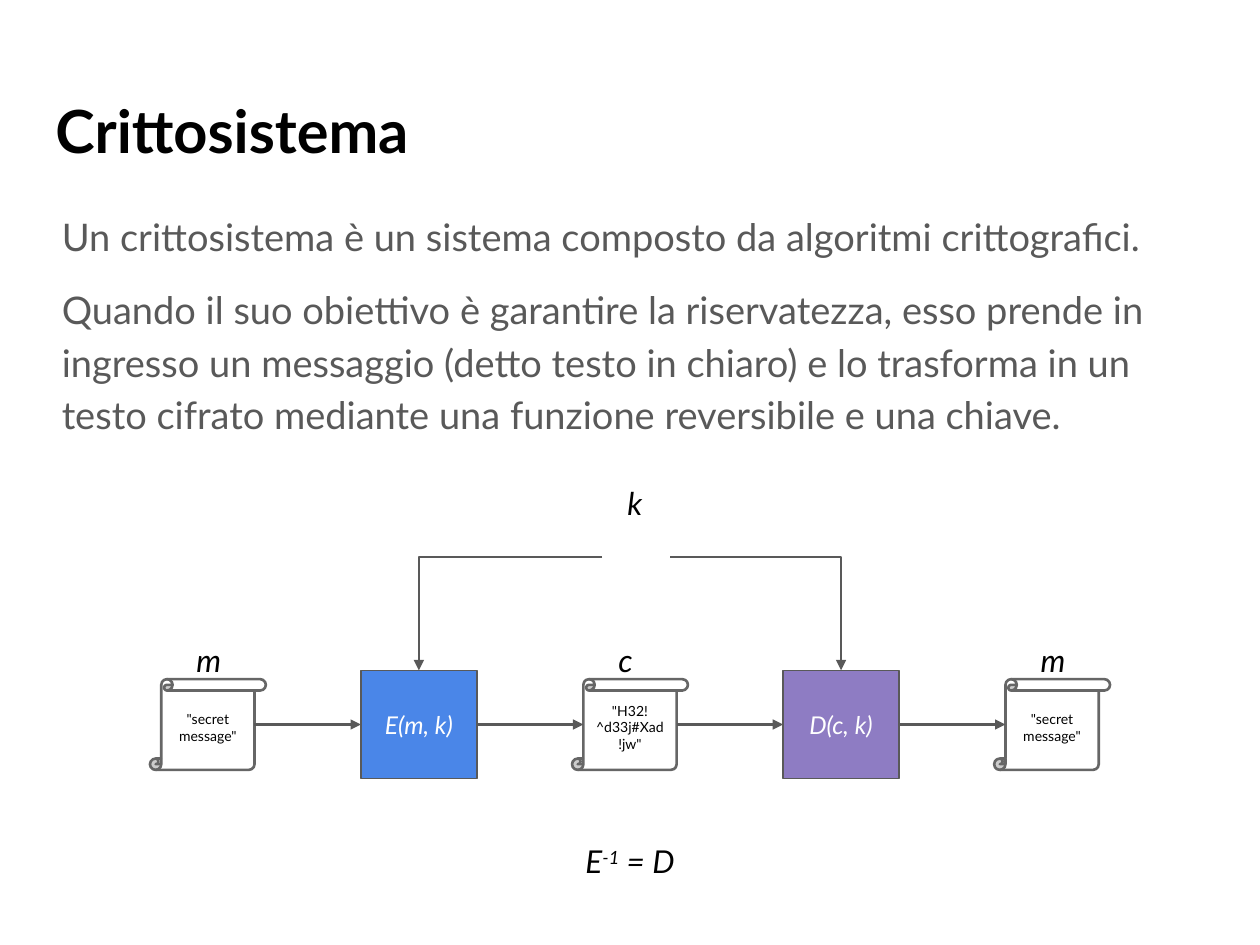
from lxml import etree
from pptx import Presentation
from pptx.dml.color import RGBColor
from pptx.enum.shapes import MSO_CONNECTOR, MSO_SHAPE
from pptx.enum.text import MSO_ANCHOR, MSO_AUTO_SIZE, PP_ALIGN
from pptx.oxml.ns import qn
from pptx.util import Inches, Pt

SCROLL, RECTANGLE = MSO_SHAPE.VERTICAL_SCROLL, MSO_SHAPE.RECTANGLE
STRAIGHT, ELBOW = MSO_CONNECTOR.STRAIGHT, MSO_CONNECTOR.ELBOW
LEFT, CENTER = PP_ALIGN.LEFT, PP_ALIGN.CENTER
TOP, MIDDLE = MSO_ANCHOR.TOP, MSO_ANCHOR.MIDDLE
TOP_SITE, LEFT_SITE, RIGHT_SITE = 0, 1, 3

FONT = "Lato"
COLORS = {
    "ink": "000000",
    "body": "595959",
    "paper": "FFFFFF",
    "scroll_edge": "666666",
    "encrypt": "4A86E8",
    "decrypt": "8E7CC3",
}

# The flow is a row of five stages at an equal pitch, in inches.
FLOW_LEFT, PITCH, STAGE_WIDTH = 1.19, 1.675, 0.92
FLOW_MIDDLE = 5.75
SCROLL_HEIGHT, FUNCTION_HEIGHT = 0.72, 0.86
SCROLL_INSET = SCROLL_HEIGHT / 8
KEY_LINE_Y = 4.42


def color(name):
    return RGBColor.from_string(COLORS[name])


def column(index):
    return FLOW_LEFT + index * PITCH


def set_up_frame(frame, anchor=TOP):
    frame.word_wrap = True
    frame.auto_size = MSO_AUTO_SIZE.NONE
    frame.vertical_anchor = anchor
    frame.margin_left = frame.margin_right = Inches(0.1)
    frame.margin_top = frame.margin_bottom = Inches(0.1)


def add_run(paragraph, text, size, ink="ink", bold=False, italic=False):
    run = paragraph.add_run()
    run.text = text
    font = run.font
    font.name, font.size = FONT, Pt(size)
    font.bold, font.italic = bold, italic
    font.color.rgb = color(ink)
    return run


def place(shape, left, top, width, height):
    shape.left, shape.top = Inches(left), Inches(top)
    shape.width, shape.height = Inches(width), Inches(height)


def fill_title(title, text):
    place(title, 0.34, 0.65, 9.32, 0.83)
    set_up_frame(title.text_frame)
    paragraph = title.text_frame.paragraphs[0]
    paragraph.alignment = LEFT
    add_run(paragraph, text, 34, bold=True)


def fill_body(body, texts):
    place(body, 0.39, 1.54, 9.32, 2.21)
    frame = body.text_frame
    set_up_frame(frame)
    for index, text in enumerate(texts):
        paragraph = frame.paragraphs[0] if index == 0 else frame.add_paragraph()
        properties = paragraph._p.get_or_add_pPr()
        properties.set("marL", "0")
        properties.set("indent", "0")
        etree.SubElement(properties, qn("a:buNone"))
        paragraph.line_spacing = 1.15
        paragraph.space_before = Pt(12 if index else 0)
        paragraph.space_after = Pt(12 if index else 0)
        add_run(paragraph, text, 21.7, "body")


def add_stage(slide, index, kind, height, text, fill, edge, edge_width, size, ink, italic):
    stage = slide.shapes.add_shape(
        kind, Inches(column(index)), Inches(FLOW_MIDDLE - height / 2),
        Inches(STAGE_WIDTH), Inches(height))
    stage.shadow.inherit = False
    stage.fill.solid()
    stage.fill.fore_color.rgb = color(fill)
    stage.line.color.rgb = color(edge)
    stage.line.width = Pt(edge_width)
    set_up_frame(stage.text_frame, MIDDLE)
    paragraph = stage.text_frame.paragraphs[0]
    paragraph.alignment = CENTER
    add_run(paragraph, text, size, ink, italic=italic)
    return stage


def add_message(slide, index, text):
    return add_stage(slide, index, SCROLL, SCROLL_HEIGHT, text,
                     "paper", "scroll_edge", 1.5, 8, "ink", False)


def add_function(slide, index, text, fill):
    return add_stage(slide, index, RECTANGLE, FUNCTION_HEIGHT, text,
                     fill, "body", 0.75, 14, "paper", True)


def add_formula(slide, left, top, width, height, text, alignment=LEFT):
    """Add an italic text box and return its paragraph for further runs."""
    box = slide.shapes.add_textbox(
        Inches(left), Inches(top), Inches(width), Inches(height))
    set_up_frame(box.text_frame)
    paragraph = box.text_frame.paragraphs[0]
    paragraph.alignment = alignment
    paragraph.line_spacing = 1.15
    paragraph.space_after = Pt(12)
    add_run(paragraph, text, 18, italic=True)
    return paragraph


def add_arrow(slide, kind, start, end):
    arrow = slide.shapes.add_connector(kind, *map(Inches, start + end))
    arrow.line.color.rgb = color("body")
    arrow.line.width = Pt(1.5)
    etree.SubElement(arrow.line._get_or_add_ln(), qn("a:tailEnd"), type="triangle")
    etree.SubElement(arrow.element.spPr, qn("a:effectLst"))
    return arrow


def add_message_arrows(slide, index, function):
    """Join a function to the messages on its two sides."""
    left, right = column(index), column(index) + STAGE_WIDTH
    source = column(index - 1) + STAGE_WIDTH - SCROLL_INSET
    target = column(index + 1) + SCROLL_INSET
    incoming = add_arrow(slide, STRAIGHT, (source, FLOW_MIDDLE), (left, FLOW_MIDDLE))
    incoming.end_connect(function, LEFT_SITE)
    outgoing = add_arrow(slide, STRAIGHT, (right, FLOW_MIDDLE), (target, FLOW_MIDDLE))
    outgoing.begin_connect(function, RIGHT_SITE)


def add_key_arrow(slide, start_x, index, function):
    """Lead the key sideways and then down into a function."""
    end = (column(index) + STAGE_WIDTH / 2, FLOW_MIDDLE - FUNCTION_HEIGHT / 2)
    arrow = add_arrow(slide, ELBOW, (start_x, KEY_LINE_Y), end)
    arrow.element.spPr.find(qn("a:prstGeom")).set("prst", "bentConnector2")
    arrow.end_connect(function, TOP_SITE)


def main():
    deck = Presentation()
    deck.slide_width, deck.slide_height = Inches(10), Inches(7.5)
    slide = deck.slides.add_slide(deck.slide_layouts[1])

    fill_title(slide.shapes.title, "Crittosistema")
    fill_body(slide.placeholders[1], [
        "Un crittosistema è un sistema composto da algoritmi crittografici.",
        "Quando il suo obiettivo è garantire la riservatezza, esso prende in "
        "ingresso un messaggio (detto testo in chiaro) e lo trasforma in un "
        "testo cifrato mediante una funzione reversibile e una chiave.",
    ])

    messages = [(0, "m", '"secret message"'),
                (2, "c", '"H32!^d33j#Xad!jw"'),
                (4, "m", '"secret message"')]
    for index, symbol, text in messages:
        add_message(slide, index, text)
        add_formula(slide, column(index) + 0.27, 4.94, 0.38, 0.38, symbol)

    add_formula(slide, 4.88, 3.7, 0.32, 0.38, "k")
    functions = [(1, "E(m, k)", "encrypt", 4.78),
                 (3, "D(c, k)", "decrypt", 5.32)]
    for index, text, fill, key_x in functions:
        function = add_function(slide, index, text, fill)
        add_message_arrows(slide, index, function)
        add_key_arrow(slide, key_x, index, function)

    inverse = add_formula(slide, 0.34, 6.54, 9.32, 0.54, "E", CENTER)
    exponent = add_run(inverse, "-1", 18, italic=True)
    exponent.font._element.set("baseline", "30000")
    add_run(inverse, " = D", 18, italic=True)

    deck.save("out.pptx")


if __name__ == "__main__":
    main()
